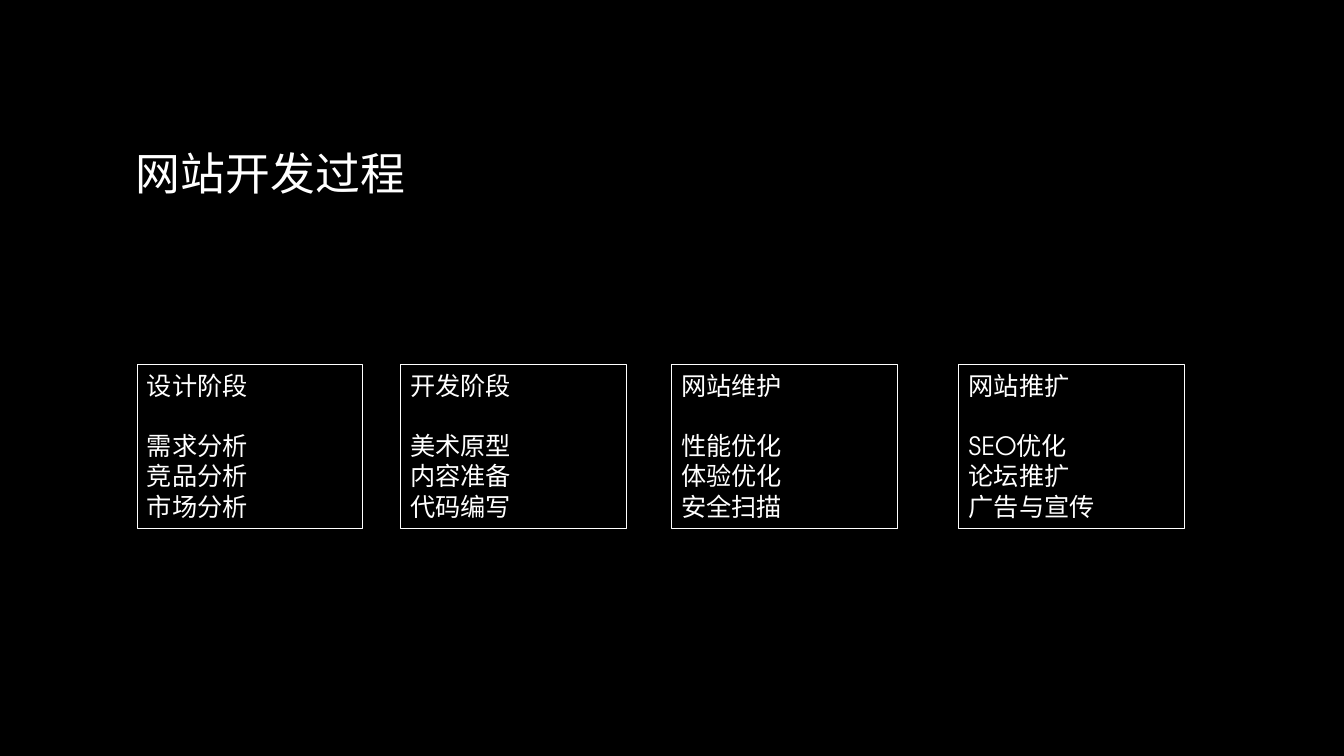
from pptx import Presentation
from pptx import util as u
from pptx.dml.color import RGBColor
from pptx.enum import shapes, text

WHITE = RGBColor(0xFF, 0xFF, 0xFF)
BLACK = RGBColor(0x00, 0x00, 0x00)
FONT = "TeX Gyre Adventor"
TITLE_BOX = (1.25, 0.67, 10.83, 2.08)
STAGE_TOP, STAGE_WIDTH, STAGE_HEIGHT = 3.62, 2.24, 1.62
STAGES = [
    (1.36, "设计阶段", ["需求分析", "竞品分析", "市场分析"]),
    (3.97, "开发阶段", ["美术原型", "内容准备", "代码编写"]),
    (6.66, "网站维护", ["性能优化", "体验优化", "安全扫描"]),
    (9.51, "网站推扩", ["SEO优化", "论坛推扩", "广告与宣传"]),
]


def write_lines(frame, lines, size):
    """Fill a text frame with left-aligned white lines."""
    frame.word_wrap = True
    frame.text = "\n".join(lines)
    for para in frame.paragraphs:
        para.alignment = text.PP_ALIGN.LEFT
        for span in para.runs:
            span.font.name = FONT
            span.font.size = u.Pt(size)
            span.font.color.rgb = WHITE


def add_title(page, box, title):
    """Place the slide title, centred vertically in its box."""
    frame = page.shapes.add_textbox(*map(u.Inches, box)).text_frame
    frame.vertical_anchor = text.MSO_ANCHOR.MIDDLE
    write_lines(frame, [title], 32)


def add_stage(page, box, heading, steps):
    """Draw an outlined stage with its heading set apart from its steps."""
    card = page.shapes.add_shape(shapes.MSO_SHAPE.RECTANGLE, *map(u.Inches, box))
    card.shadow.inherit = False
    card.fill.background()
    card.line.color.rgb = WHITE
    card.line.width = u.Pt(0.75)
    frame = card.text_frame
    frame.vertical_anchor = text.MSO_ANCHOR.TOP
    write_lines(frame, [heading, *steps], 18)
    frame.paragraphs[0].space_after = u.Pt(21.6)


def main():
    """Build the website development slide and save it."""
    deck = Presentation()
    deck.slide_width, deck.slide_height = u.Inches(13.33), u.Inches(7.5)
    page = deck.slides.add_slide(deck.slide_layouts[6])
    page.background.fill.solid()
    page.background.fill.fore_color.rgb = BLACK
    add_title(page, TITLE_BOX, "网站开发过程")
    for left, heading, steps in STAGES:
        add_stage(page, (left, STAGE_TOP, STAGE_WIDTH, STAGE_HEIGHT), heading, steps)
    deck.save("out.pptx")


if __name__ == "__main__":
    main()
